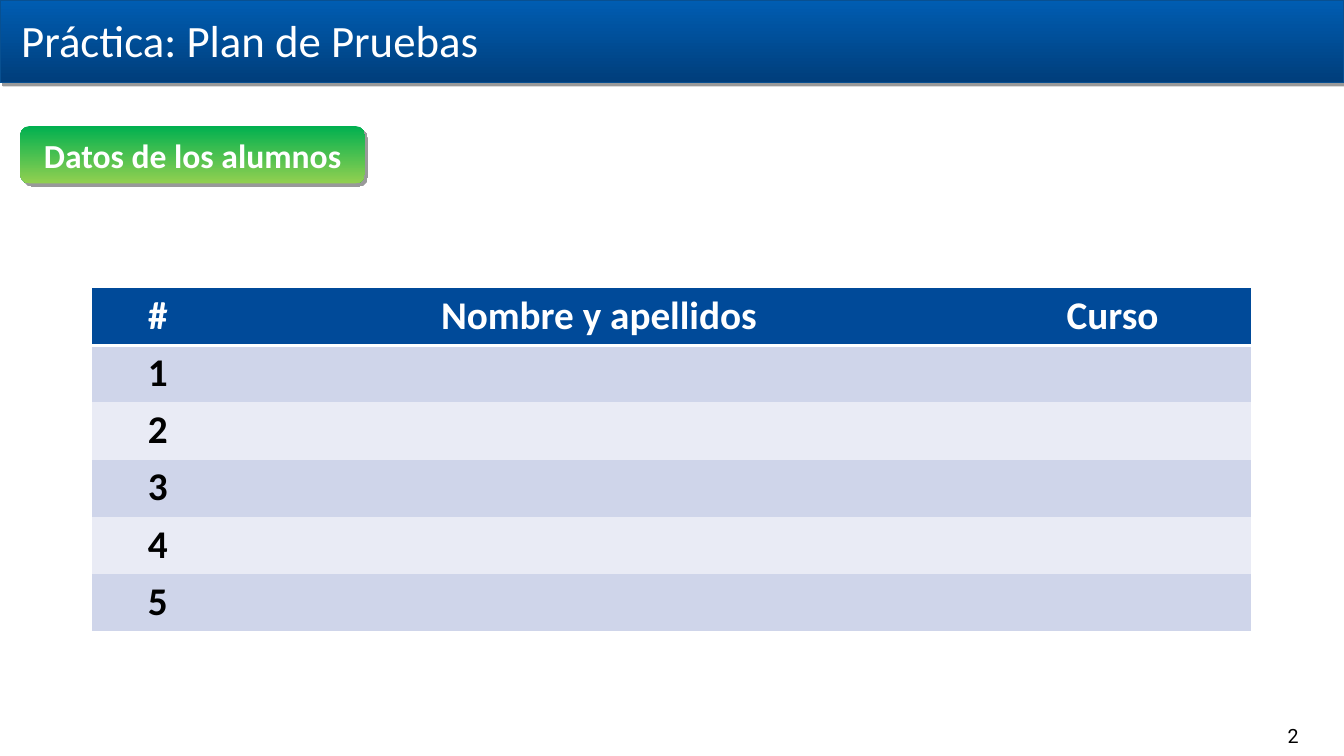
from dataclasses import dataclass

import pptx
import pptx.util
from lxml import etree
from pptx.dml.color import RGBColor
from pptx.enum.shapes import MSO_SHAPE
from pptx.enum.text import MSO_ANCHOR, PP_ALIGN
from pptx.oxml import parse_xml
from pptx.oxml.ns import nsdecls, qn
from pptx.util import Inches


@dataclass(frozen=True)
class Theme:
    white: str = "FFFFFF"
    black: str = "000000"
    bar: tuple = ("005DB2", "003E7B")
    bar_line: str = "085091"
    badge: tuple = ("00B050", "92D050")
    header: str = "004A99"
    bands: tuple = ("CFD5EA", "E9EBF5")
    font: str = "Calibri"
    number_font: str = "Roboto"
    title_size: int = 32
    table_size: int = 28
    badge_size: int = 24
    number_size: int = 14


THEME = Theme()
NO_GRID_STYLE = "{2D5ABB26-0587-4C30-8999-92F81FD0307C}"


def write(tf, text, size, color, bold=False, align=PP_ALIGN.CENTER, font=THEME.font):
    p = tf.paragraphs[0]
    p.text = text
    p.alignment = align
    p.font.name = font
    p.font.size = pptx.util.Pt(size)
    p.font.bold = bold
    p.font.color.rgb = RGBColor.from_string(color)


def add_gradient_panel(s, shape_type, box, colors):
    """Add a panel shaded from top to bottom, with a short diagonal shadow."""
    sp = s.shapes.add_shape(shape_type, *map(Inches, box))
    sp.fill.gradient()
    sp.fill.gradient_angle = 270
    for stop, color in zip(sp.fill.gradient_stops, colors):
        stop.color.rgb = RGBColor.from_string(color)
    sp.line.fill.background()
    sp.shadow.inherit = False
    effects = sp.element.spPr.find(qn("a:effectLst"))
    effects.append(parse_xml(
        f'<a:outerShdw {nsdecls("a")} dist="38100" dir="2700000" algn="tl" rotWithShape="0">'
        f'<a:srgbClr val="{THEME.black}"><a:alpha val="40000"/></a:srgbClr></a:outerShdw>'))
    return sp


def add_title_bar(s, box, text):
    left, top, width, height = box
    bar = add_gradient_panel(s, MSO_SHAPE.RECTANGLE, box, THEME.bar)
    bar.line.color.rgb = RGBColor.from_string(THEME.bar_line)
    bar.line.width = pptx.util.Pt(1)
    title = s.shapes.title
    title.element.addprevious(bar.element)
    title.left, title.top = Inches(left + 0.11), Inches(top + 0.07)
    title.width, title.height = Inches(width - 0.7), Inches(height - 0.18)
    tf = title.text_frame
    tf.vertical_anchor = MSO_ANCHOR.MIDDLE
    write(tf, text, THEME.title_size, THEME.white, align=PP_ALIGN.LEFT)


def add_badge(s, box, text):
    badge = add_gradient_panel(s, MSO_SHAPE.ROUNDED_RECTANGLE, box, THEME.badge)
    tf = badge.text_frame
    tf.vertical_anchor = MSO_ANCHOR.MIDDLE
    write(tf, text, THEME.badge_size, THEME.white, bold=True)


def add_bottom_border(cell, color, points):
    tcPr = cell._tc.get_or_add_tcPr()
    tcPr.insert(0, parse_xml(
        f'<a:lnB {nsdecls("a")} w="{pptx.util.Pt(points)}"><a:solidFill>'
        f'<a:srgbClr val="{color}"/></a:solidFill></a:lnB>'))


def add_student_table(s, box, headings, col_widths, students):
    rows = [headings] + [(str(n), "", "") for n in range(1, students + 1)]
    frame = s.shapes.add_table(len(rows), len(headings), *map(Inches, box))
    table = frame.table
    style = frame.element.find(".//" + qn("a:tableStyleId"))
    style.text = NO_GRID_STYLE
    for col, width in zip(table.columns, col_widths):
        col.width = Inches(width)
    for i, row in enumerate(rows):
        table.rows[i].height = Inches(box[3] / len(rows))
        fill = THEME.bands[(i - 1) % 2] if i else THEME.header
        for j, text in enumerate(row):
            cell = table.cell(i, j)
            cell.margin_top = cell.margin_bottom = Inches(0.04)
            cell.fill.solid()
            cell.fill.fore_color.rgb = RGBColor.from_string(fill)
            write(cell.text_frame, text, THEME.table_size,
                  THEME.black if i else THEME.white, bold=True)
            if i == 0:
                add_bottom_border(cell, THEME.white, 3)


def add_slide_number(s, box, number):
    tf = s.shapes.add_textbox(*map(Inches, box)).text_frame
    tf.word_wrap = True
    write(tf, str(number), THEME.number_size, THEME.black, font=THEME.number_font)


def main():
    prs = pptx.Presentation()
    prs.slide_width, prs.slide_height = Inches(13.33), Inches(7.5)
    s = prs.slides.add_slide(prs.slide_layouts[5])
    add_title_bar(s, (0, 0, 13.33, 0.82), "Práctica: Plan de Pruebas")
    add_student_table(s, (0.91, 2.86, 11.5, 3.4),
                      ("#", "Nombre y apellidos", "Curso"), (1.31, 7.44, 2.75), 5)
    add_badge(s, (0.2, 1.25, 3.42, 0.57), "Datos de los alumnos")
    add_slide_number(s, (12.42, 7.13, 0.81, 0.34), 2)
    prs.save("out.pptx")


if __name__ == "__main__":
    main()
